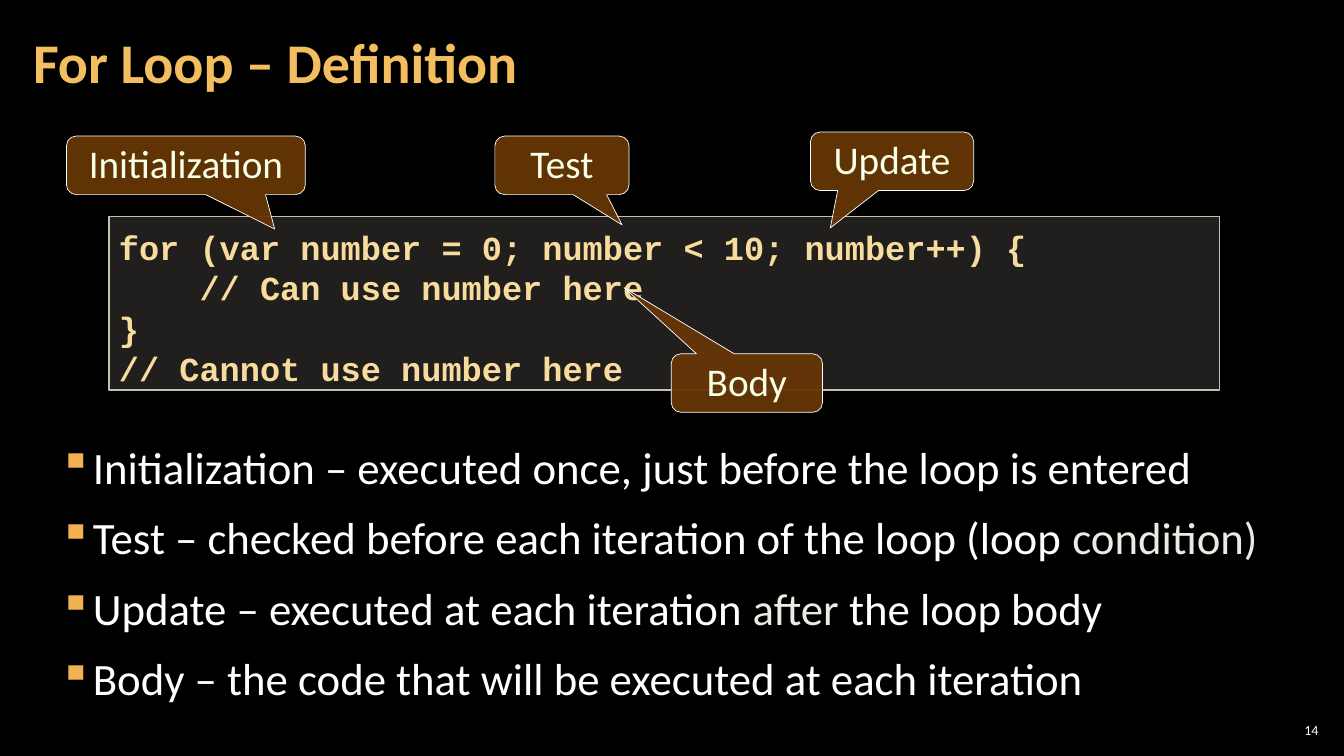
from lxml.etree import SubElement
from pptx import Presentation
from pptx.dml.color import RGBColor
from pptx.enum.shapes import MSO_SHAPE
from pptx.enum.text import MSO_ANCHOR, PP_ALIGN
from pptx.oxml.ns import qn
from pptx.util import Pt

COLORS = {
    "background": "000000",
    "title": "F3BE60",
    "code": "F8DC9E",
    "code_fill": "D9D5C7",
    "code_border": "C7BFAC",
    "callout": "663606",
    "callout_text": "F7FFE7",
    "bullet": "F2B254",
    "text": "FFFFFF",
    "accent": "ECEAE3",
}
TITLE = "For Loop – Definition"
CODE = [
    "for (var number = 0; number < 10; number++) {",
    "    // Can use number here",
    "}",
    "// Cannot use number here",
]
CALLOUTS = [
    ("Initialization", 47.5, 97.2, 170.6, (0.372, 1.089)),
    ("Test", 353.5, 97.2, 95.8, (0.448, 1.017)),
    ("Update", 578.9, 94.3, 116.6, (-0.378, 1.137)),
    ("Body", 479.5, 252.7, 108, (-0.812, -1.63)),
]
CALLOUT_HEIGHT = 41.8
DEFINITIONS = [
    [("Initialization – executed once, just before the loop is entered", "text")],
    [("Test – checked before each iteration of the loop (loop ", "text"),
     ("condition)", "accent")],
    [("Update – executed at each iteration ", "text"),
     ("after", "accent"),
     (" the loop body", "text")],
    [("Body – the code that will be executed at each iteration", "text")],
]
PAGE_NUMBER = "14"


def color(name):
    return RGBColor.from_string(COLORS[name])


def style(run, size, color_name, font="Calibri", bold=False):
    run.font.name = font
    run.font.size = Pt(size)
    run.font.bold = bold
    run.font.color.rgb = color(color_name)


def set_frame(shape, insets, anchor):
    frame = shape.text_frame
    frame.word_wrap = True
    frame.vertical_anchor = anchor
    frame.margin_left, frame.margin_top, frame.margin_right, frame.margin_bottom = map(Pt, insets)
    return frame


def add_box(slide, place, insets, anchor=MSO_ANCHOR.TOP):
    return set_frame(slide.shapes.add_textbox(*map(Pt, place)), insets, anchor)


def add_panel(slide, preset, place, fill, alpha, border, border_width):
    panel = slide.shapes.add_shape(preset, *map(Pt, place))
    panel.shadow.inherit = False
    panel.fill.solid()
    panel.fill.fore_color.rgb = color(fill)
    fill_color = panel.fill._xPr.find(qn("a:solidFill"))[0]
    SubElement(fill_color, qn("a:alpha"), val=str(alpha * 1000))
    panel.line.color.rgb = color(border)
    panel.line.width = Pt(border_width)
    return panel


def write(frame, text, size, color_name, align=PP_ALIGN.LEFT, spacing=None, **font):
    paragraph = frame.paragraphs[0]
    paragraph.text = text
    paragraph.alignment = align
    paragraph.line_spacing = spacing
    for run in paragraph.runs:
        style(run, size, color_name, **font)


def add_code(slide):
    panel = add_panel(slide, MSO_SHAPE.RECTANGLE, (77.8, 154.8, 793.4, 123.8),
                      "code_fill", 15, "code_border", 1)
    frame = set_frame(panel, (7.2, 7.2, 7.2, 0), MSO_ANCHOR.TOP)
    write(frame, "\v".join(CODE), 24, "code", spacing=Pt(28.8),
          font="Courier New", bold=True)


def add_callout(slide, label, left, top, width, tip):
    callout = add_panel(slide, MSO_SHAPE.ROUNDED_RECTANGULAR_CALLOUT,
                        (left, top, width, CALLOUT_HEIGHT), "callout", 95, "text", 0.5)
    callout.adjustments[0], callout.adjustments[1] = tip
    frame = set_frame(callout, (7.2, 3.6, 7.2, 3.6), MSO_ANCHOR.MIDDLE)
    write(frame, label, 28, "callout_text", PP_ALIGN.CENTER, Pt(30))


def add_definitions(slide):
    frame = add_box(slide, (33.8, 311, 892.1, 204.5), (8.5, 2.8, 8.5, 2.8))
    for index, parts in enumerate(DEFINITIONS):
        paragraph = frame.add_paragraph() if index else frame.paragraphs[0]
        paragraph.space_before = paragraph.space_after = Pt(6)
        properties = paragraph._p.get_or_add_pPr()
        properties.set("marL", str(Pt(24)))
        properties.set("indent", str(Pt(-24)))
        bullet_color = SubElement(properties, qn("a:buClr"))
        SubElement(bullet_color, qn("a:srgbClr"), val=COLORS["bullet"])
        SubElement(properties, qn("a:buChar"), char="▪")
        for text, color_name in parts:
            run = paragraph.add_run()
            run.text = text
            style(run, 32, color_name)


def main():
    deck = Presentation()
    deck.slide_width, deck.slide_height = Pt(960), Pt(540)
    slide = deck.slides.add_slide(deck.slide_layouts[6])
    slide.background.fill.solid()
    slide.background.fill.fore_color.rgb = color("background")

    add_code(slide)
    heading = add_box(slide, (15.1, 2.9, 753.8, 87.1), (8.5, 2.8, 8.5, 2.8), MSO_ANCHOR.MIDDLE)
    write(heading, TITLE, 40, "title", spacing=0.9, bold=True)
    add_definitions(slide)
    for callout in CALLOUTS:
        add_callout(slide, *callout)
    footer = add_box(slide, (910.8, 514.1, 33.8, 15.1), (2.8, 2.8, 2.8, 2.8), MSO_ANCHOR.MIDDLE)
    write(footer, PAGE_NUMBER, 10, "text", PP_ALIGN.RIGHT)
    deck.save("out.pptx")


if __name__ == "__main__":
    main()
